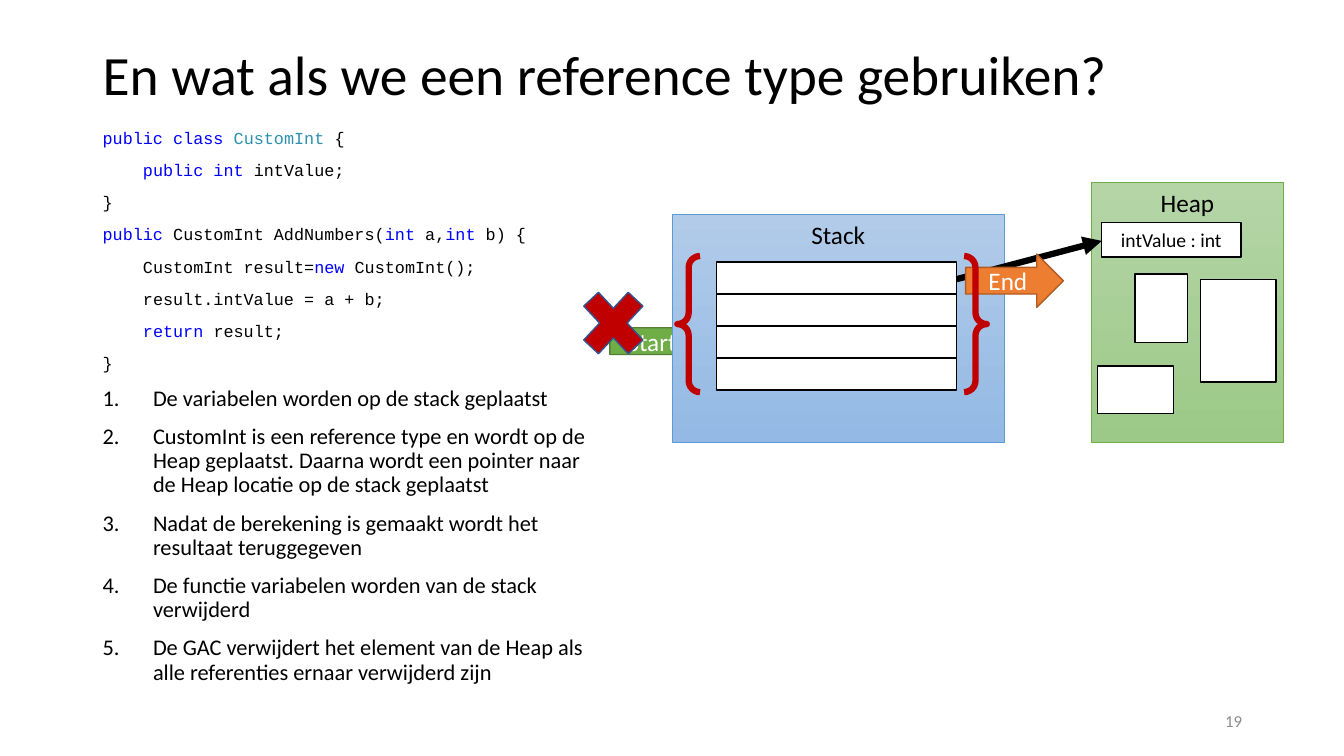
from collections import namedtuple
from lxml import etree
from pptx import Presentation
from pptx import util as u
from pptx.dml.color import RGBColor
from pptx.enum import shapes, text
from pptx.oxml.ns import qn

Box = namedtuple("Box", "left top width height")
GRID = u.Inches(0.1)
COLUMNS, ROWS = 133.33, 75

BLACK = RGBColor(0, 0, 0)
WHITE = RGBColor(255, 255, 255)
GREY = RGBColor(0x8C, 0x8C, 0x8C)
KEYWORD = RGBColor(0, 0, 255)
CLASS_NAME = RGBColor(0x2B, 0x91, 0xAF)
RED = RGBColor(0xC0, 0, 0)
CROSS_LINE = RGBColor(0x32, 0x54, 0x91)
GREEN = RGBColor(0x70, 0xAD, 0x47)
GREEN_LINE = RGBColor(0x53, 0x80, 0x35)
ORANGE = RGBColor(0xED, 0x7D, 0x31)
ORANGE_LINE = RGBColor(0xAF, 0x5C, 0x24)
BLUE = RGBColor(0x5B, 0x9B, 0xD5)
STACK_FILL = (RGBColor(0xB1, 0xCB, 0xE9), RGBColor(0x93, 0xB9, 0xE4))
HEAP_FILL = (RGBColor(0xB5, 0xD5, 0xA7), RGBColor(0x9C, 0xC9, 0x87))

CODE = [
    (0, [("public class ", KEYWORD), ("CustomInt", CLASS_NAME), (" {", BLACK)]),
    (4, [("public int ", KEYWORD), ("intValue;", BLACK)]),
    (0, [("}", BLACK)]),
    (0, [("public ", KEYWORD), ("CustomInt AddNumbers(", BLACK), ("int ", KEYWORD),
         ("a,", BLACK), ("int", KEYWORD), (" b) {", BLACK)]),
    (4, [("CustomInt result=", BLACK), ("new ", KEYWORD), ("CustomInt();", BLACK)]),
    (4, [("result.intValue = a + b;", BLACK)]),
    (4, [("return", KEYWORD), (" result;", BLACK)]),
    (0, [("}", BLACK)]),
]
STEPS = [
    "De variabelen worden op de stack geplaatst",
    "CustomInt is een reference type en wordt op de Heap geplaatst. "
    "Daarna wordt een pointer naar de Heap locatie op de stack geplaatst",
    "Nadat de berekening is gemaakt wordt het resultaat teruggegeven",
    "De functie variabelen worden van de stack verwijderd",
    "De GAC verwijdert het element van de Heap als alle referenties ernaar verwijderd zijn",
]


def within(box, left, top, width, height):
    return Box(box.left + left, box.top + top, width, height)


def grid(*cells):
    return [round(cell * GRID) for cell in cells]


def format_run(run, size, color, font="Calibri"):
    run.font.size = u.Pt(size)
    run.font.name = font
    run.font.color.rgb = color


def write(shape, words, size, color, align, anchor=text.MSO_ANCHOR.MIDDLE):
    frame = shape.text_frame
    frame.text = words
    frame.word_wrap = True
    frame.vertical_anchor = anchor
    paragraph = frame.paragraphs[0]
    paragraph.alignment = align
    format_run(paragraph.runs[0], size, color)
    return paragraph


def add_shape(slide, kind, box, fill, line, weight=1):
    shape = slide.shapes.add_shape(kind, *grid(*box))
    shape.shadow.inherit = False
    if fill is None:
        shape.fill.background()
    elif isinstance(fill, RGBColor):
        shape.fill.solid()
        shape.fill.fore_color.rgb = fill
    else:
        shape.fill.gradient()
        shape.fill.gradient_angle = 270
        for stop, color in zip(shape.fill.gradient_stops, fill):
            stop.color.rgb = color
    shape.line.color.rgb = line
    shape.line.width = u.Pt(weight)
    return shape


def add_cell(slide, box):
    return add_shape(slide, shapes.MSO_SHAPE.RECTANGLE, box, WHITE, BLACK)


def add_panel(slide, box, name, fill, line):
    panel = add_shape(slide, shapes.MSO_SHAPE.RECTANGLE, box, fill, line, 0.5)
    write(panel, name, 18, BLACK, text.PP_ALIGN.CENTER, text.MSO_ANCHOR.TOP)


def add_label_arrow(slide, box, name, fill, line):
    arrow = add_shape(slide, shapes.MSO_SHAPE.RIGHT_ARROW, box, fill, line)
    write(arrow, name, 18, WHITE, text.PP_ALIGN.CENTER)


def add_title(slide, box):
    title = slide.shapes.add_textbox(*grid(*box))
    paragraph = write(title, "En wat als we een reference type gebruiken?",
                      39.6, BLACK, text.PP_ALIGN.LEFT)
    paragraph.line_spacing = 0.9


def add_explanation(slide, box):
    frame = slide.shapes.add_textbox(*grid(*box)).text_frame
    frame.word_wrap = True
    lines = [(indent, runs, False) for indent, runs in CODE]
    lines += [(5, [(step, BLACK)], True) for step in STEPS]
    for index, (indent, runs, numbered) in enumerate(lines):
        paragraph = frame.add_paragraph() if index else frame.paragraphs[0]
        paragraph.line_spacing = 0.9
        paragraph.space_before = u.Pt(10)
        properties = paragraph._p.get_or_add_pPr()
        properties.set("marL", str(indent * GRID))
        if numbered:
            properties.set("indent", str(-indent * GRID))
            etree.SubElement(properties, qn("a:buAutoNum"), type="arabicPeriod")
        for words, color in runs:
            run = paragraph.add_run()
            run.text = words
            format_run(run, 16 if numbered else 12, color,
                       "Calibri" if numbered else "Courier New")


def add_stack(slide, box):
    add_label_arrow(slide, within(box, -6.2, 9.9, 9.7, 5.3), "Start", GREEN, GREEN_LINE)
    add_panel(slide, box, "Stack", STACK_FILL, BLUE)
    for row in range(4):
        add_cell(slide, within(box, 4.4, 4.7 + row * 3.17, 23.8, 3.2))


def add_heap(slide, box):
    add_panel(slide, box, "Heap", HEAP_FILL, GREEN)
    add_cell(slide, within(box, 4.3, 9.1, 5.2, 6.8))
    value = add_cell(slide, within(box, 1, 4, 13.8, 3.4))
    write(value, "intValue : int", 14, BLACK, text.PP_ALIGN.CENTER)
    add_cell(slide, within(box, 10.8, 9.6, 7.5, 10.2))
    add_cell(slide, within(box, 0.6, 18.2, 7.5, 4.7))


def add_pointer(slide, stack, heap):
    ends = grid(stack.left + 28.2, stack.top + 6.4, heap.left + 1, heap.top + 5.8)
    pointer = slide.shapes.add_connector(shapes.MSO_CONNECTOR.STRAIGHT, *ends)
    pointer.line.color.rgb = BLACK
    pointer.line.width = u.Pt(4.5)
    etree.SubElement(pointer.line._get_or_add_ln(), qn("a:tailEnd"), type="triangle")
    etree.SubElement(pointer._element.spPr, qn("a:effectLst"))


def add_removal(slide, stack):
    add_label_arrow(slide, within(stack, 29.1, 3.9, 9.7, 5.3), "End", ORANGE, ORANGE_LINE)
    add_shape(slide, shapes.MSO_SHAPE.DOUBLE_BRACE, within(stack, 0.5, 4.1, 30.7, 13.5),
              None, RED, 4.5)
    add_shape(slide, shapes.MSO_SHAPE.MATH_MULTIPLY, within(stack, -10.1, 6.2, 8.5, 9.1),
              RED, CROSS_LINE)


def add_slide_number(slide, box):
    number = slide.shapes.add_textbox(*grid(*box))
    write(number, "19", 12, GREY, text.PP_ALIGN.RIGHT)


presentation = Presentation()
presentation.slide_width, presentation.slide_height = grid(COLUMNS, ROWS)
slide = presentation.slides.add_slide(presentation.slide_layouts[6])
stack = Box(66.7, 21.3, 32.9, 22.6)
heap = Box(108.3, 18.1, 19, 25.8)
add_title(slide, Box(9.2, 4, 115, 7.3))
add_explanation(slide, Box(9.2, 12.4, 52, 57.9))
add_stack(slide, stack)
add_heap(slide, heap)
add_pointer(slide, stack, heap)
add_removal(slide, stack)
add_slide_number(slide, Box(94.2, 69.5, 30, 4))
presentation.save("out.pptx")
